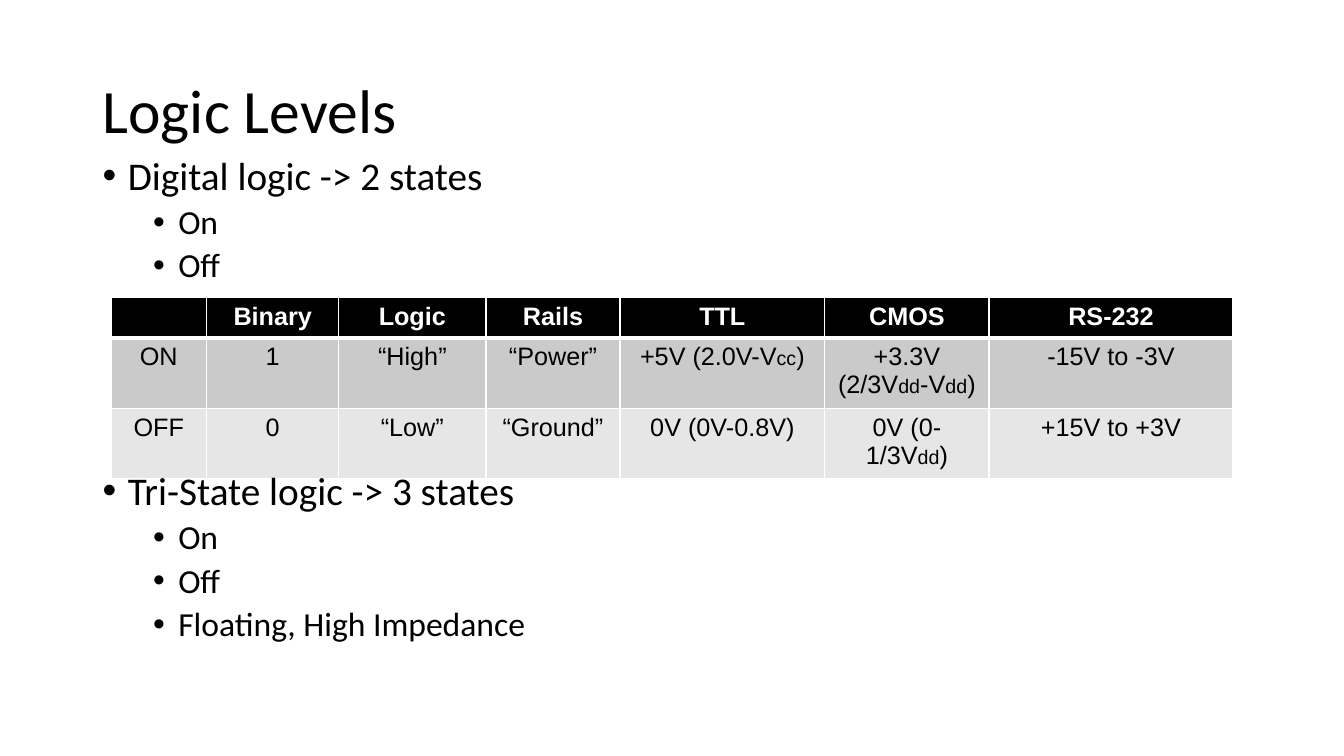
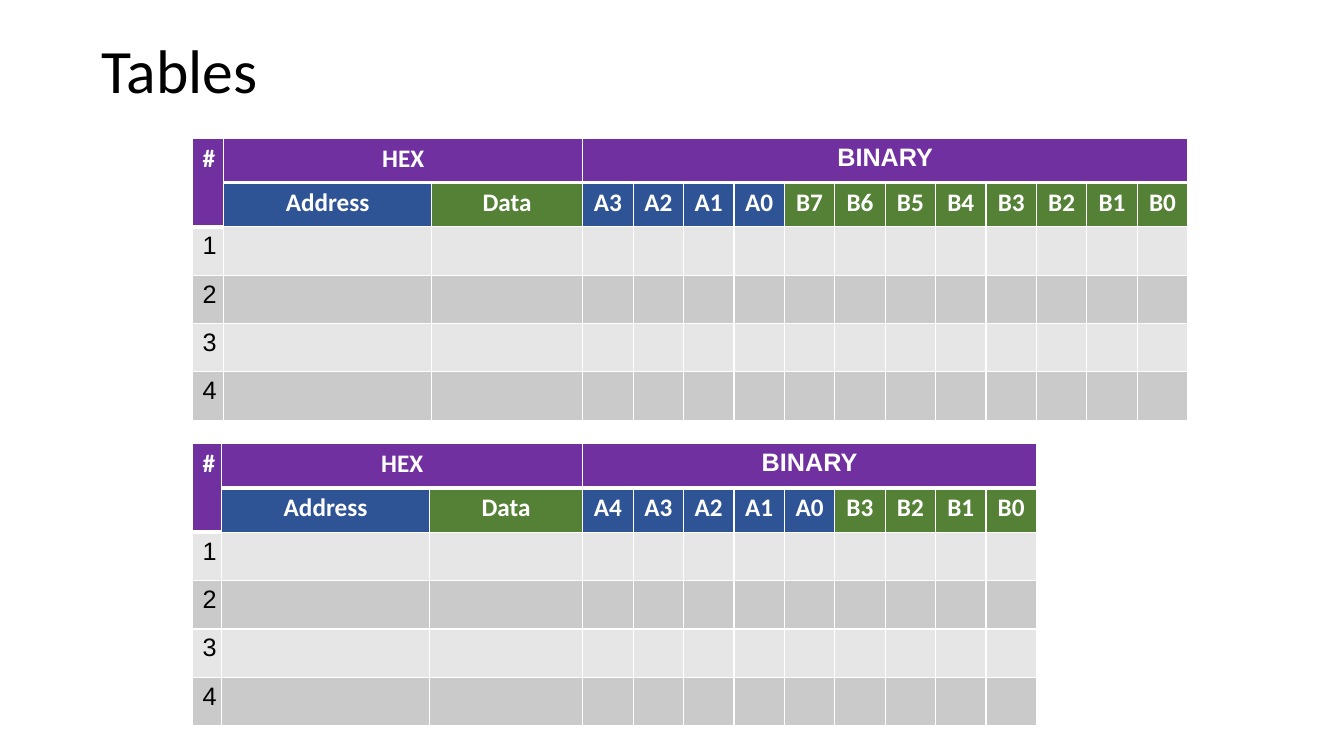
from dataclasses import dataclass

from lxml.etree import SubElement
from pptx import Presentation
from pptx.dml.color import RGBColor
from pptx.enum.text import MSO_ANCHOR, PP_ALIGN
from pptx.oxml.ns import qn
from pptx.util import Inches, Pt


@dataclass(frozen=True)
class Theme:
    text: str = "000000"
    light: str = "FFFFFF"
    purple: str = "7030A0"
    blue: str = "2F5496"
    green: str = "548135"
    row_dark: str = "CACACA"
    row_light: str = "E6E6E6"
    head_font: str = "Calibri"
    cell_font: str = "Arial"
    title_pt: int = 44
    body_pts: tuple = (28, 24)
    cell_pt: int = 18
    small_pt: int = 14
    rule_pt: int = 1
    heavy_rule_pt: int = 3


THEME = Theme()


def add_run(p, text, size, font=THEME.head_font, color=THEME.text, bold=False):
    r = p.add_run()
    r.text = text
    for name, value in {"size": Pt(size), "name": font, "bold": bold}.items():
        setattr(r.font, name, value)
    r.font.color.rgb = RGBColor.from_string(color)


def add_text_box(slide, box, anchor=MSO_ANCHOR.TOP):
    tf = slide.shapes.add_textbox(*map(Inches, box)).text_frame
    tf.word_wrap = True
    tf.vertical_anchor = anchor
    return tf


def add_title(slide, text, box):
    p = add_text_box(slide, box, MSO_ANCHOR.MIDDLE).paragraphs[0]
    p.line_spacing = 0.9
    add_run(p, text, THEME.title_pt)


def set_bullet(p, margin, hang):
    pPr = p._p.get_or_add_pPr()
    pPr.set("marL", str(Inches(margin)))
    pPr.set("indent", str(-Inches(hang)))
    color = SubElement(pPr, qn("a:buClr"))
    SubElement(color, qn("a:srgbClr"), val=THEME.text)
    SubElement(pPr, qn("a:buFont"), typeface=THEME.cell_font)
    SubElement(pPr, qn("a:buChar"), char="•")


def add_bullets(slide, box, heading, items):
    """One first-level bullet followed by its second-level items."""
    tf = add_text_box(slide, box)
    for i, text in enumerate([heading, *items]):
        level = min(i, 1)
        p = tf.add_paragraph() if i else tf.paragraphs[0]
        p.level = level
        p.line_spacing = 0.9
        p.space_before = Pt(5 * level)
        set_bullet(p, 0.25 + 0.5 * level, 0.25)
        add_run(p, text, THEME.body_pts[level])


def set_borders(cell, bottom_pt):
    tcPr = cell._tc.get_or_add_tcPr()
    for side in "LRTB":
        width = bottom_pt if side == "B" else THEME.rule_pt
        ln = SubElement(tcPr, qn(f"a:ln{side}"), w=str(Pt(width)))
        fill = SubElement(ln, qn("a:solidFill"))
        SubElement(fill, qn("a:srgbClr"), val=THEME.light)


def fill_cell(cell, fill, text="", **style):
    """Fill a cell and write its text; parts between ~ marks are small."""
    cell.fill.solid()
    cell.fill.fore_color.rgb = RGBColor.from_string(fill)
    p = cell.text_frame.paragraphs[0]
    p.alignment = PP_ALIGN.CENTER
    for i, part in enumerate(text.split("~") if text else []):
        add_run(p, part, THEME.small_pt if i % 2 else THEME.cell_pt, **style)


def add_grid(slide, left, top, widths, heights):
    """A table with white rules, heavier below its first row."""
    frame = slide.shapes.add_table(
        len(heights), len(widths), Inches(left), Inches(top),
        Inches(sum(widths)), Inches(sum(heights)))
    table = frame.table
    for column, width in zip(table.columns, widths):
        column.width = Inches(width)
    for i, (row, height) in enumerate(zip(table.rows, heights)):
        row.height = Inches(height)
        for cell in row.cells:
            set_borders(cell, THEME.rule_pt if i else THEME.heavy_rule_pt)
    return table


HEAD = {"color": THEME.light, "bold": True}
PLAIN = {"font": THEME.cell_font}


def add_level_table(slide, left, top):
    rows = [
        ["", "Binary", "Logic", "Rails", "TTL", "CMOS", "RS-232"],
        ["ON", "1", "“High”", "“Power”", "+5V (2.0V-V~cc~)",
         "+3.3V (2/3V~dd~-V~dd~)", "-15V to -3V"],
        ["OFF", "0", "“Low”", "“Ground”", "0V (0V-0.8V)",
         "0V (0-1/3V~dd~)", "+15V to +3V"],
    ]
    fills = [THEME.text, THEME.row_dark, THEME.row_light]
    table = add_grid(slide, left, top,
                     [0.95, 1.31, 1.46, 1.33, 2.03, 1.63, 2.42],
                     [0.37, 0.66, 0.66])
    for i, (texts, fill) in enumerate(zip(rows, fills)):
        style = PLAIN if i else PLAIN | HEAD
        for j, text in enumerate(texts):
            fill_cell(table.cell(i, j), fill, text, **style)


def add_memory_table(slide, left, top, lead_widths, address_bits, data_bits):
    """Address and data in hex, then one column for each bit."""
    bits = address_bits + data_bits
    table = add_grid(slide, left, top, lead_widths + [0.5] * bits,
                     [0.44] * 2 + [0.48] * 4)
    last = 2 + bits
    groups = [("#", (0, 0), (1, 0), THEME.head_font),
              ("HEX", (0, 1), (0, 2), THEME.head_font),
              ("BINARY", (0, 3), (0, last), THEME.cell_font)]
    for text, start, end, font in groups:
        cell = table.cell(*start)
        cell.merge(table.cell(*end))
        fill_cell(cell, THEME.purple, text, font=font, **HEAD)

    labels = [("Address", THEME.blue), ("Data", THEME.green)]
    for letter, count, fill in (("A", address_bits, THEME.blue),
                                ("B", data_bits, THEME.green)):
        labels += [(f"{letter}{n}", fill) for n in reversed(range(count))]
    for j, (text, fill) in enumerate(labels, 1):
        fill_cell(table.cell(1, j), fill, text, **HEAD)

    for n in range(1, 5):
        fill = THEME.row_light if n % 2 else THEME.row_dark
        for j in range(last + 1):
            fill_cell(table.cell(n + 1, j), fill, "" if j else str(n), **PLAIN)


def build_logic_levels(slide):
    add_title(slide, "Logic Levels", (0.92, 0.4, 11.5, 1.45))
    add_bullets(slide, (0.92, 1.5, 11.5, 1.4),
                "Digital logic -> 2 states", ["On", "Off"])
    add_level_table(slide, 1.1, 2.95)
    add_bullets(slide, (0.92, 4.63, 11.5, 2.26), "Tri-State logic -> 3 states",
                ["On", "Off", "Floating, High Impedance"])


def build_tables(slide):
    add_title(slide, "Tables", (0.91, 0, 11.5, 1.45))
    add_memory_table(slide, 1.91, 1.37, [0.31, 2.06, 1.5], 4, 8)
    add_memory_table(slide, 1.91, 4.4, [0.29, 2.06, 1.52], 5, 4)


def main():
    prs = Presentation()
    prs.slide_width, prs.slide_height = Inches(13.33), Inches(7.5)
    for build in (build_logic_levels, build_tables):
        build(prs.slides.add_slide(prs.slide_layouts[6]))
    prs.save("out.pptx")


if __name__ == "__main__":
    main()
